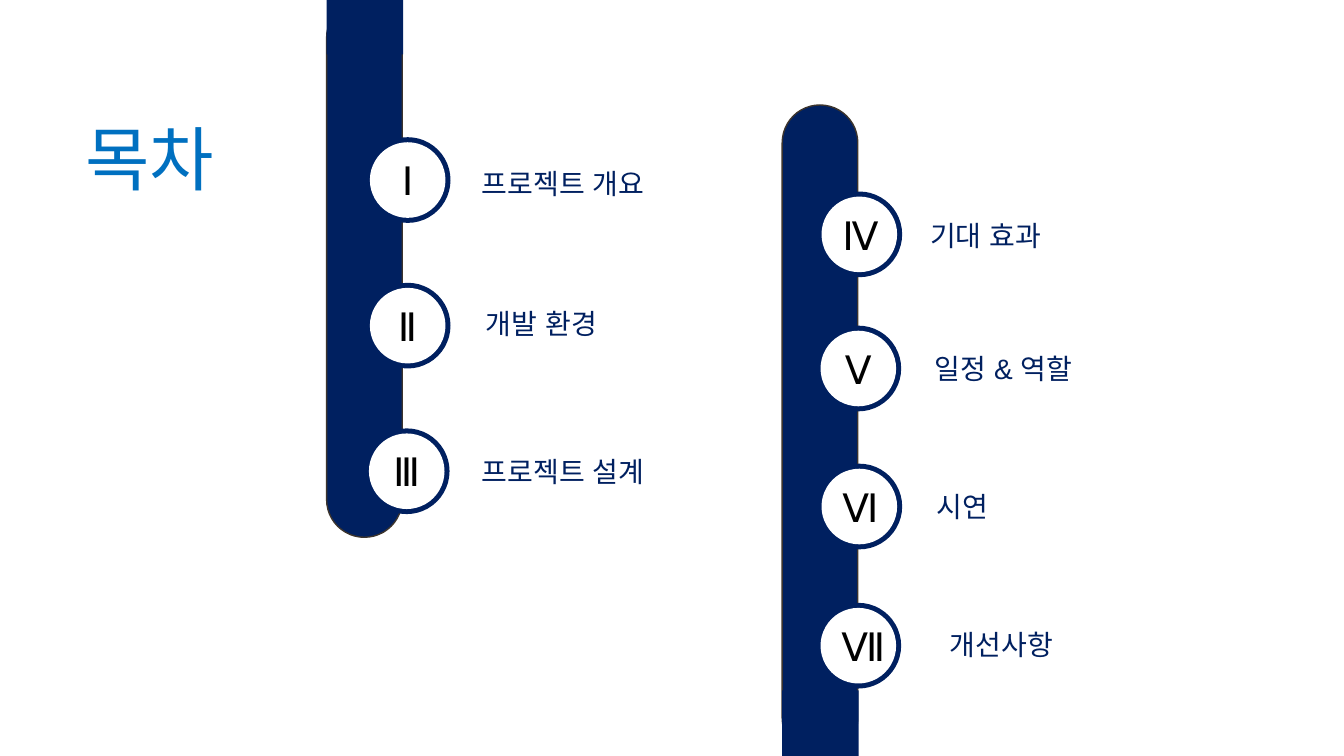
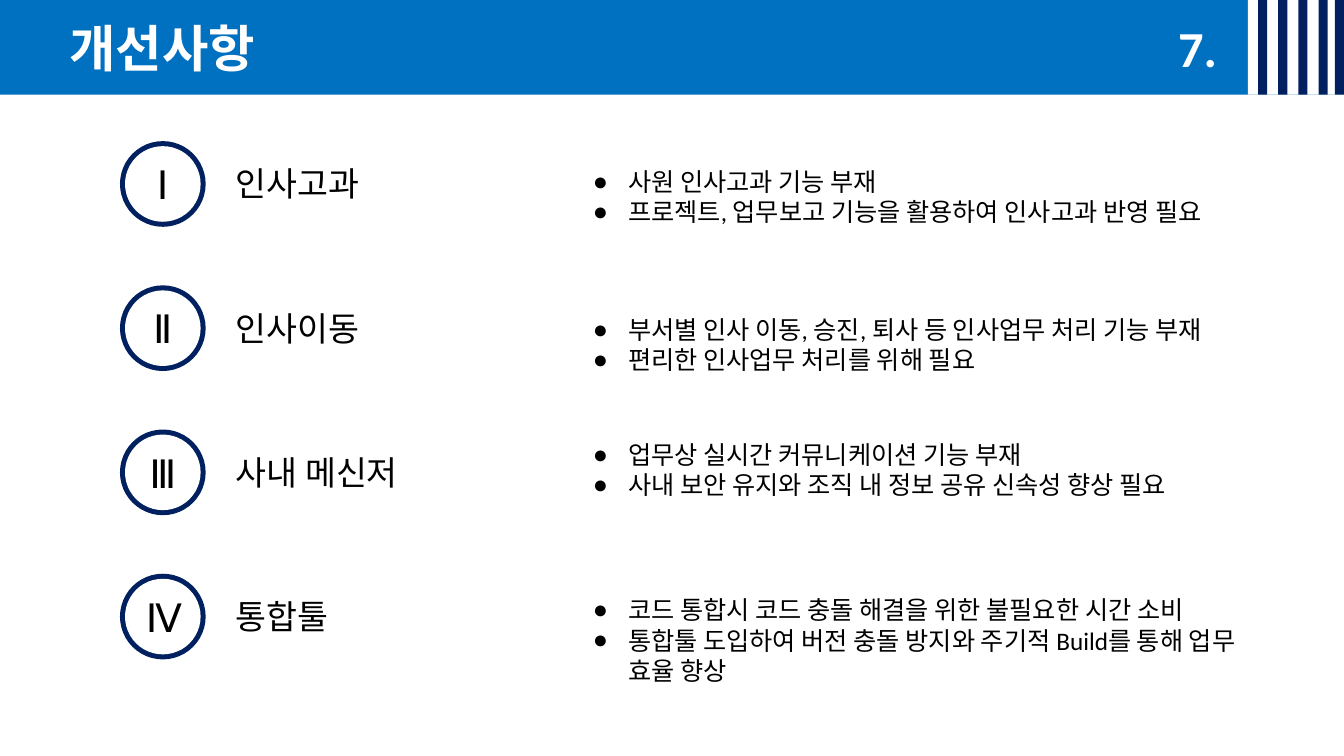
from lxml.etree import SubElement
from pptx import Presentation
from pptx.dml.color import RGBColor
from pptx.enum.shapes import MSO_SHAPE
from pptx.enum.text import MSO_ANCHOR, MSO_AUTO_SIZE, PP_ALIGN
from pptx.oxml.ns import qn
from pptx.util import Pt

SLIDE_W, SLIDE_H = 960, 540
NAVY, BLUE, WHITE, BLACK, OUTLINE = "002060", "0070C0", "FFFFFF", "000000", "3C342D"
TITLE_ONLY, TITLE_AND_FOUR_BODIES = 5, 4
BAND_H = 67.7
BAR_W = 54
RING, DISC = 61.2, 54
NUMERALS = "ⅠⅡⅢⅣⅤⅥⅦ"

# Numeral position, then label box: left, top, width
LEFT_CONTENTS = [
    ("프로젝트 개요", (260.6, 98), (333.4, 115.2, 137.5)),
    ("개발 환경", (260.6, 202), (333.4, 215.3, 106.6)),
    ("프로젝트 설계", (259.9, 306), (333.4, 321.1, 137.5)),
]
RIGHT_CONTENTS = [
    ("기대 효과", (583.2, 136.8), (648, 152.6, 112.3)),
    ("일정 & 역할", (582.5, 232.6), (650.2, 247.7, 133.2)),
    ("시연", (583.2, 331.2), (656.6, 346.3, 61.2)),
    ("개선사항", (582.5, 430.6), (656, 445, 118.8)),
]

# Topic, list top, list width, list items
IMPROVEMENTS = [
    ("인사고과", 111.6, 460.8,
     ["사원 인사고과 기능 부재",
      "프로젝트, 업무보고 기능을 활용하여 인사고과 반영 필요"]),
    ("인사이동", 217.4, 460.8,
     ["부서별 인사 이동, 승진, 퇴사 등 인사업무 처리 기능 부재",
      "편리한 인사업무 처리를 위해 필요"]),
    ("사내 메신저", 306.7, 460.8,
     ["업무상 실시간 커뮤니케이션 기능 부재",
      "사내 보안 유지와 조직 내 정보 공유 신속성 향상 필요"]),
    ("통합툴", 417.6, 512,
     ["코드 통합시 코드 충돌 해결을 위한 불필요한 시간 소비",
      "통합툴 도입하여 버전 충돌 방지와 주기적 Build를 통해 업무 효율 향상"]),
]


def color(hex_code):
    return RGBColor.from_string(hex_code)


def place(shape, left, top, width, height):
    shape.left, shape.top = Pt(left), Pt(top)
    shape.width, shape.height = Pt(width), Pt(height)


def write(shape, *paragraphs, size, font="Calibri", ink=BLACK, bold=False,
          align=PP_ALIGN.CENTER, anchor=MSO_ANCHOR.TOP, inset_y=3.6, bullet=None):
    frame = shape.text_frame
    frame.word_wrap = True
    frame.auto_size = MSO_AUTO_SIZE.NONE
    frame.vertical_anchor = anchor
    frame.margin_left = frame.margin_right = Pt(7.2)
    frame.margin_top = frame.margin_bottom = Pt(inset_y)
    frame.text = "\n".join(paragraphs)
    for paragraph in frame.paragraphs:
        paragraph.alignment = align
        paragraph.space_before = Pt(0)
        for run in paragraph.runs:
            run.font.name, run.font.size, run.font.bold = font, Pt(size), bold
            run.font.color.rgb = color(ink)
            SubElement(run.font._element, qn("a:ea"), typeface=font)
        if bullet:
            properties = paragraph._p.get_or_add_pPr()
            properties.set("marL", str(Pt(36)))
            properties.set("indent", str(Pt(-25.2)))
            SubElement(properties, qn("a:buChar"), char=bullet)


def add_text(slide, box, *paragraphs, **text_format):
    textbox = slide.shapes.add_textbox(*map(Pt, box))
    write(textbox, *paragraphs, **text_format)


def add_filled(slide, preset, box, fill, outline=None):
    shape = slide.shapes.add_shape(preset, *map(Pt, box))
    shape.shadow.inherit = False
    shape.fill.solid()
    shape.fill.fore_color.rgb = color(fill)
    if outline:
        shape.line.color.rgb = color(outline)
        shape.line.width = Pt(1)
    else:
        shape.line.fill.background()
    return shape


def add_title(slide, text, box, **text_format):
    """Fill the title placeholder and bring it to the front."""
    title = slide.shapes.title
    place(title, *box)
    write(title, text, **text_format)
    slide.shapes._spTree.append(title._element)


def add_numeral(slide, numeral, left, top, font="Calibri"):
    add_filled(slide, MSO_SHAPE.OVAL, (left, top, RING, RING), NAVY)
    inset = (RING - DISC) / 2
    disc = add_filled(slide, MSO_SHAPE.OVAL,
                      (left + inset, top + inset, DISC, DISC), WHITE)
    write(disc, numeral, size=28, font=font, anchor=MSO_ANCHOR.MIDDLE)


def add_bar(slide, left, top, bottom, square_top, square_height):
    """Draw a rounded bar whose end at the slide edge is squared off."""
    bar = add_filled(slide, MSO_SHAPE.ROUNDED_RECTANGLE,
                     (left, top, BAR_W, bottom - top), NAVY, OUTLINE)
    bar.adjustments[0] = 0.5
    add_filled(slide, MSO_SHAPE.RECTANGLE,
               (left, square_top, BAR_W + 0.7, square_height), NAVY)


def add_header(slide, title, number):
    add_filled(slide, MSO_SHAPE.RECTANGLE, (0, 0, SLIDE_W, BAND_H), BLUE)
    panel_left = 891.4
    add_filled(slide, MSO_SHAPE.RECTANGLE,
               (panel_left, 0, SLIDE_W - panel_left, BAND_H), WHITE)
    stripe_w = 6.5
    for i in range(5):
        stripe_left = min(898.6 + 14.4 * i, SLIDE_W - stripe_w)
        add_filled(slide, MSO_SHAPE.RECTANGLE, (stripe_left, 0, stripe_w, BAND_H), NAVY)
    heading = dict(size=36, ink=WHITE, bold=True)
    add_title(slide, title, (28.8, 8.6, 174.2, 51), **heading)
    add_text(slide, (826.6, 8.6, 57.6, 51), number, **heading)


def build_contents(slide):
    add_title(slide, "목차", (47.5, 79.2, 118.8, 67.7), size=50, font="Arial", ink=BLUE)
    add_bar(slide, 233.3, 0, 383.8, 0, 38.9)
    add_bar(slide, 558.7, 75, SLIDE_H, 493.2, SLIDE_H - 493.2)
    entries = LEFT_CONTENTS + RIGHT_CONTENTS
    for numeral, (label, position, label_box) in zip(NUMERALS, entries):
        font = "Calibri" if numeral == "Ⅶ" else "Arial"
        add_numeral(slide, numeral, *position, font=font)
        add_text(slide, (*label_box, 31.7), label, size=20, font=font, ink=NAVY)


def build_improvements(slide):
    add_header(slide, "개선사항", "7.")
    bodies = [p for p in slide.placeholders if p.placeholder_format.idx > 0]
    for i, (topic, list_top, list_width, items) in enumerate(IMPROVEMENTS):
        top = 100.8 + 103 * i
        add_numeral(slide, NUMERALS[i], 85.7, top, font="Calibri" if i else "Arial")
        add_text(slide, (161.3, top + 8.6, 291.6, 44), topic,
                 size=24, align=PP_ALIGN.LEFT, inset_y=7.2)
        place(bodies[i], 405.4, list_top, list_width, 80)
        write(bodies[i], *items, size=18, align=PP_ALIGN.LEFT, inset_y=7.2, bullet="●")


def main():
    deck = Presentation()
    deck.slide_width, deck.slide_height = Pt(SLIDE_W), Pt(SLIDE_H)
    layouts = deck.slide_layouts
    build_contents(deck.slides.add_slide(layouts[TITLE_ONLY]))
    build_improvements(deck.slides.add_slide(layouts[TITLE_AND_FOUR_BODIES]))
    deck.save("out.pptx")


if __name__ == "__main__":
    main()
